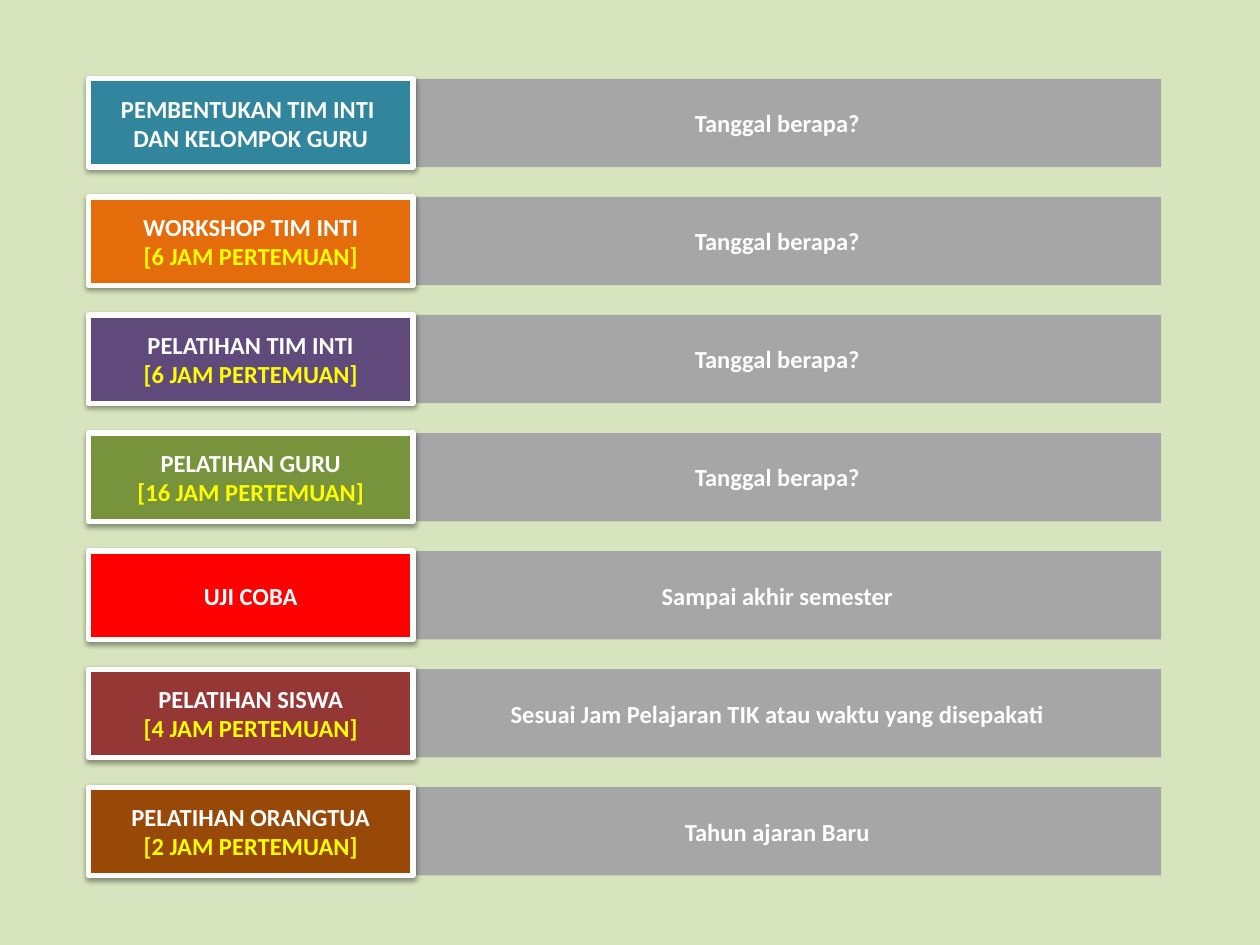
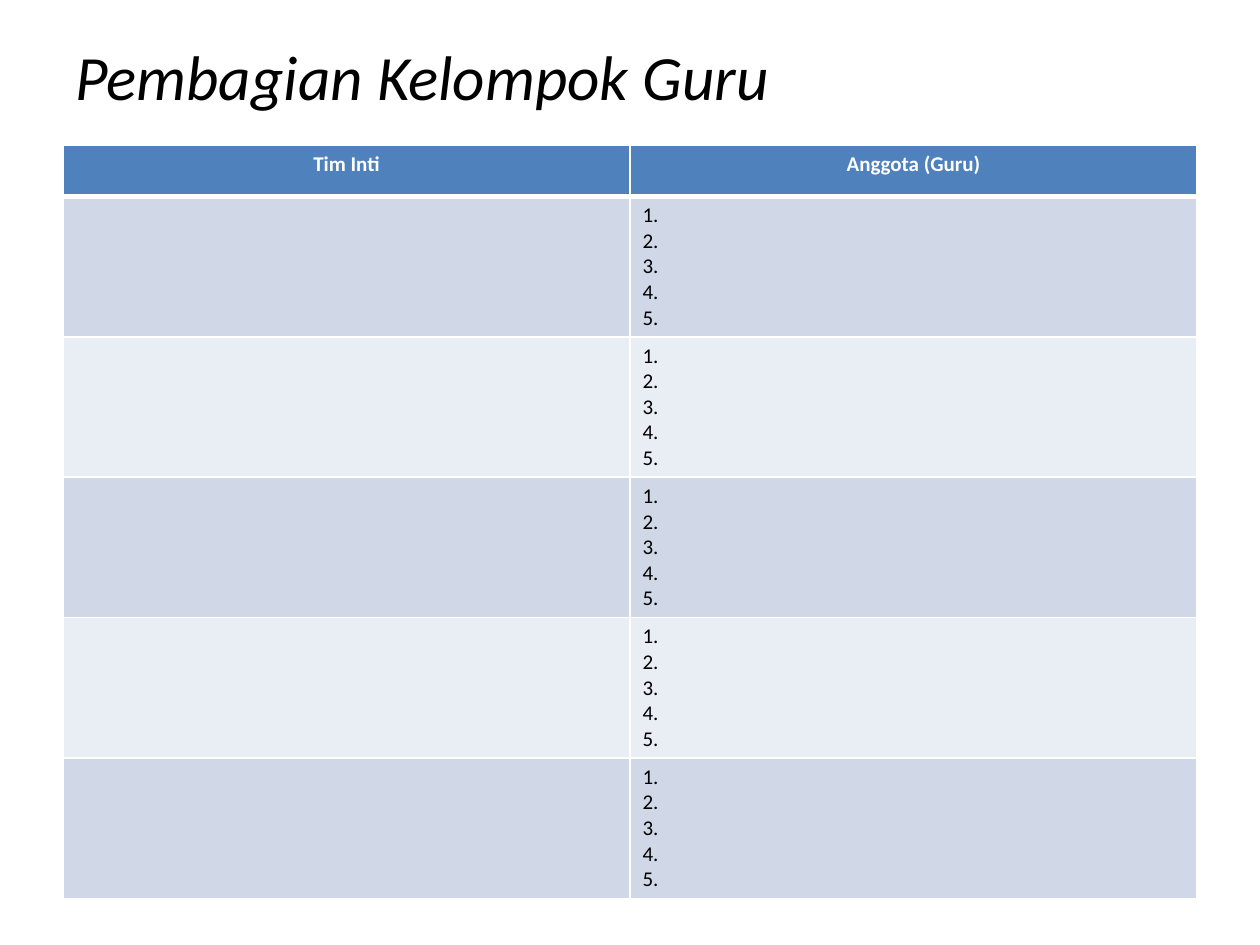
from dataclasses import dataclass

from lxml.etree import SubElement
from pptx import Presentation
from pptx.dml.color import RGBColor
from pptx.enum.shapes import MSO_SHAPE
from pptx.enum.text import MSO_ANCHOR, PP_ALIGN
from pptx.oxml import parse_xml
from pptx.oxml.ns import nsdecls, qn
from pptx.util import Cm, Pt


@dataclass(frozen=True)
class Theme:
    font: str = "Calibri"
    title_size: int = 36
    body_size: int = 14
    table_size: int = 12
    border: int = 1
    thick_border: int = 3
    white: str = "FFFFFF"
    black: str = "000000"
    yellow: str = "FFFF00"
    page: str = "D7E4BD"
    bar: str = "A6A6A6"
    header: str = "4F81BD"
    bands: tuple = ("D0D8E8", "E9EDF4")
    teal: str = "31859C"
    orange: str = "E46C0A"
    purple: str = "604A7B"
    green: str = "77933C"
    red: str = "FF0000"
    maroon: str = "953735"
    brown: str = "984807"


class Deck:
    def __init__(self, theme):
        self.theme = theme
        self.presentation = Presentation()
        self.presentation.slide_width = Cm(25.4)
        self.presentation.slide_height = Cm(19.05)
        self.slide = None

    def new_slide(self):
        self.slide = self.presentation.slides.add_slide(self.presentation.slide_layouts[6])

    def add_lines(self, frame, lines, align=PP_ALIGN.LEFT, **formats):
        for index, (text, color) in enumerate(lines):
            paragraph = frame.paragraphs[0] if index == 0 else frame.add_paragraph()
            paragraph.alignment = align
            run = paragraph.add_run()
            run.text = text
            run.font.color.rgb = RGBColor.from_string(color)
            for name, value in {"name": self.theme.font, **formats}.items():
                setattr(run.font, name, value)

    def title(self, text):
        box = self.slide.shapes.add_textbox(Cm(1.27), Cm(-0.08), Cm(22.86), Cm(3.18))
        frame = box.text_frame
        for name, value in {"word_wrap": True, "vertical_anchor": MSO_ANCHOR.MIDDLE}.items():
            setattr(frame, name, value)
        self.add_lines(frame, [(text, self.theme.black)],
                       size=Pt(self.theme.title_size), italic=True)

    def block(self, left, top, width, height, fill, lines=()):
        shape = self.slide.shapes.add_shape(
            MSO_SHAPE.RECTANGLE, Cm(left), Cm(top), Cm(width), Cm(height))
        shape.shadow.inherit = False
        shape.fill.solid()
        shape.fill.fore_color.rgb = RGBColor.from_string(fill)
        shape.line.fill.background()
        shape.text_frame.vertical_anchor = MSO_ANCHOR.MIDDLE
        self.add_lines(shape.text_frame, lines, PP_ALIGN.CENTER,
                       size=Pt(self.theme.body_size), bold=True)
        return shape

    def label(self, left, top, width, height, fill, lines):
        shape = self.block(left, top, width, height, fill, lines)
        shape.line.color.rgb = RGBColor.from_string(self.theme.white)
        shape.line.width = Pt(3)
        effects = shape.element.spPr.find(qn("a:effectLst"))
        shadow = SubElement(effects, qn("a:outerShdw"), blurRad=str(Pt(3.1)),
                            dist=str(Pt(1.6)), dir="5400000", rotWithShape="0")
        color = SubElement(shadow, qn("a:srgbClr"), val=self.theme.black)
        SubElement(color, qn("a:alpha"), val="38000")

    def cell(self, cell, fill, lines, bottom, **formats):
        cell.fill.solid()
        cell.fill.fore_color.rgb = RGBColor.from_string(fill)
        self.add_lines(cell.text_frame, lines, size=Pt(self.theme.table_size), **formats)
        thin = self.theme.border
        edges = {"lnL": thin, "lnR": thin, "lnT": thin, "lnB": bottom}
        for index, (edge, width) in enumerate(edges.items()):
            cell._tc.get_or_add_tcPr().insert(index, parse_xml(
                f'<a:{edge} {nsdecls("a")} w="{Pt(width)}"><a:solidFill>'
                f'<a:srgbClr val="{self.theme.white}"/></a:solidFill></a:{edge}>'))

    def table(self, headings, rows, left, top, width, header_height, row_height):
        height = header_height + row_height * len(rows)
        table = self.slide.shapes.add_table(
            len(rows) + 1, len(headings), Cm(left), Cm(top), Cm(width), Cm(height)).table
        table.rows[0].height = Cm(header_height)
        for column, heading in enumerate(headings):
            self.cell(table.cell(0, column), self.theme.header, [(heading, self.theme.white)],
                      self.theme.thick_border, align=PP_ALIGN.CENTER, bold=True)
        for index, row in enumerate(rows):
            table.rows[index + 1].height = Cm(row_height)
            fill = self.theme.bands[index % 2]
            for column, texts in enumerate(row):
                lines = [(text, self.theme.black) for text in texts]
                self.cell(table.cell(index + 1, column), fill, lines,
                          self.theme.border, bold=False)


theme = Theme()
deck = Deck(theme)

ASK_DATE = "Tanggal berapa?"
stages = [
    (theme.teal, [("PEMBENTUKAN TIM INTI ", theme.white),
                  ("DAN KELOMPOK GURU", theme.white)], ASK_DATE),
    (theme.orange, [("WORKSHOP TIM INTI", theme.white),
                    ("[6 JAM PERTEMUAN]", theme.yellow)], ASK_DATE),
    (theme.purple, [("PELATIHAN TIM INTI", theme.white),
                    ("[6 JAM PERTEMUAN]", theme.yellow)], ASK_DATE),
    (theme.green, [("PELATIHAN GURU", theme.white),
                   ("[16 JAM PERTEMUAN]", theme.yellow)], ASK_DATE),
    (theme.red, [("UJI COBA", theme.white)], "Sampai akhir semester"),
    (theme.maroon, [("PELATIHAN SISWA", theme.white),
                    ("[4 JAM PERTEMUAN]", theme.yellow)],
     "Sesuai Jam Pelajaran TIK atau waktu yang disepakati"),
    (theme.brown, [("PELATIHAN ORANGTUA", theme.white),
                   ("[2 JAM PERTEMUAN]", theme.yellow)], "Tahun ajaran Baru"),
]
FIRST_TOP, PITCH, STAGE_HEIGHT = 1.59, 2.38, 1.78
tops = [FIRST_TOP + PITCH * index for index in range(len(stages))]

deck.new_slide()
deck.block(0, 0, 25.4, 19.05, theme.page)
for top, (_, _, schedule) in zip(tops, stages):
    deck.block(7.93, top, 15.48, STAGE_HEIGHT, theme.bar, [(schedule, theme.white)])
for top, (fill, lines, _) in zip(tops, stages):
    deck.label(1.78, top, 6.55, STAGE_HEIGHT, fill, lines)

members = [f"{number}." for number in range(1, 6)]

deck.new_slide()
deck.title("Pembagian Kelompok Guru")
deck.table(["Tim Inti", "Anggota (Guru)"], [([], members)] * 5,
           left=1.27, top=2.93, width=22.86, header_height=1.03, row_height=2.83)

deck.presentation.save("out.pptx")
